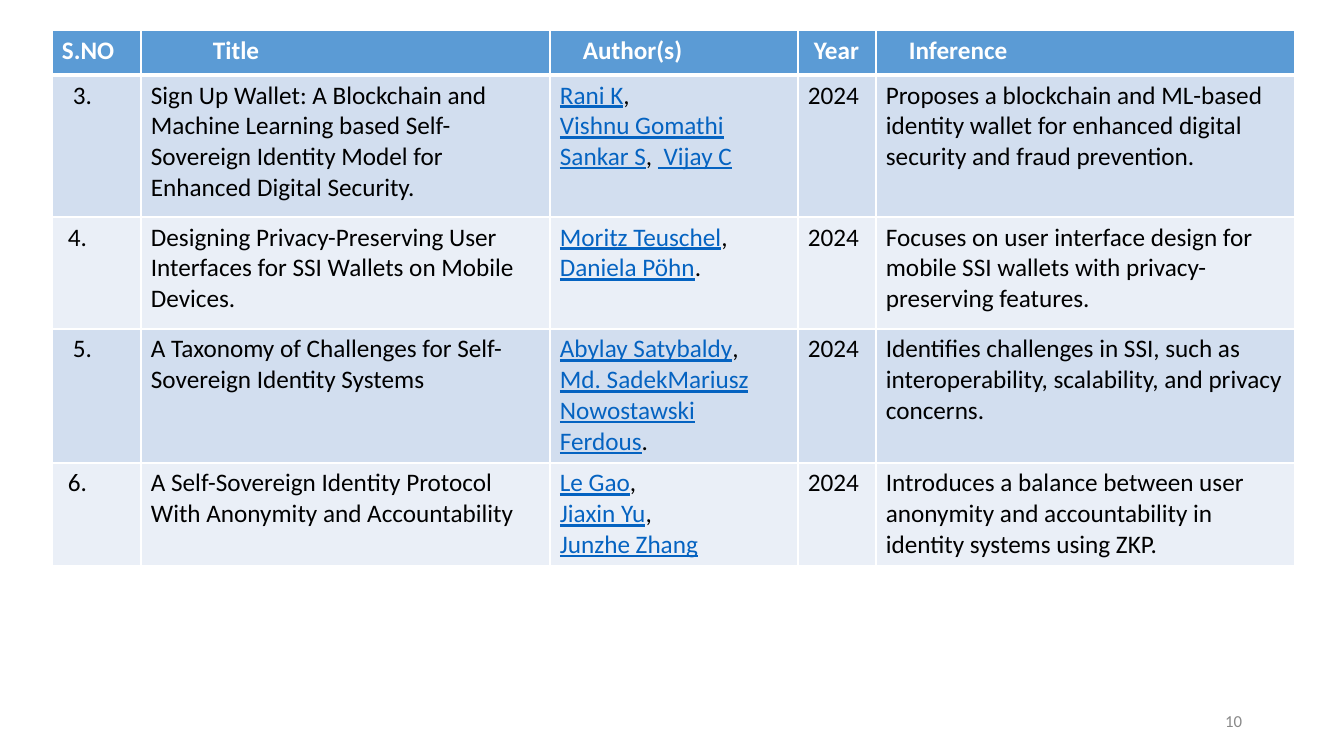
"""Build a literature survey slide: one table of papers and a page number."""
from lxml import etree
from pptx import Presentation
from pptx.dml.color import RGBColor
from pptx.enum.text import MSO_ANCHOR, PP_ALIGN
from pptx.oxml.ns import qn
from pptx.util import Pt

RIGHT = PP_ALIGN.RIGHT
MIDDLE = MSO_ANCHOR.MIDDLE
EMU_PER_PX = 914400 / 100.8
FONT = "Calibri"
BLANK_LAYOUT = 6

COLORS = {
    "header": "5B9BD5", "odd": "D2DEEF", "even": "EAEFF7", "rule": "FFFFFF",
    "heading": "FFFFFF", "text": "000000", "link": "0563C1", "number": "898989",
}

HEADINGS = ["S.NO", "Title", "Author(s)", "Year", "Inference"]
HEADING_INDENTS = [0, 62, 23, 6, 23]
NUMBER_INDENTS = {"odd": 11, "even": 6}
CELL_MARGIN = 10

# Each author line alternates linked names and plain punctuation.
PAPERS = [
    ("3.",
     "Sign Up Wallet: A Blockchain and Machine Learning based Self-Sovereign "
     "Identity Model for Enhanced Digital Security.",
     [["Rani K", ","], ["Vishnu Gomathi Sankar S", ", ", " Vijay C"]],
     "2024",
     "Proposes a blockchain and ML-based identity wallet for enhanced digital "
     "security and fraud prevention."),
    ("4.",
     "Designing Privacy-Preserving User Interfaces for SSI Wallets on Mobile Devices.",
     [["Moritz Teuschel", ","], ["Daniela Pöhn", "."]],
     "2024",
     "Focuses on user interface design for mobile SSI wallets with "
     "privacy-preserving features."),
    ("5.",
     "A Taxonomy of Challenges for Self-Sovereign Identity Systems",
     [["Abylay Satybaldy", ","], ["Md. SadekMariusz Nowostawski Ferdous", "."]],
     "2024",
     "Identifies challenges in SSI, such as interoperability, scalability, and "
     "privacy concerns."),
    ("6.",
     "A Self-Sovereign Identity Protocol With Anonymity and Accountability",
     [["Le Gao", ","], ["Jiaxin Yu", ","], ["Junzhe Zhang"]],
     "2024",
     "Introduces a balance between user anonymity and accountability in identity "
     "systems using ZKP."),
]

PAGE_SIZE = (1344, 756)
TABLE_CORNER = (52, 30)
COLUMN_WIDTHS = [89, 409, 248, 78, 419]
ROW_HEIGHTS = [45, 142, 112, 134, 103]
PAGE_NUMBER = "10"
PAGE_NUMBER_BOX = (950, 701, 302, 40)


def px(length):
    return round(length * EMU_PER_PX)


def style(span, size, color, bold=False, underline=False):
    span.font.name = FONT
    span.font.size = Pt(size)
    span.font.bold = bold
    span.font.underline = underline
    span.font.color.rgb = RGBColor.from_string(COLORS[color])


def set_borders(cell, top, bottom):
    properties = cell._tc.get_or_add_tcPr()
    for side, points in (("L", 1), ("R", 1), ("T", top), ("B", bottom)):
        line = etree.SubElement(properties, qn(f"a:ln{side}"), w=str(Pt(points)))
        fill = etree.SubElement(line, qn("a:solidFill"))
        etree.SubElement(fill, qn("a:srgbClr"), val=COLORS["rule"])


def format_cell(cell, fill, indent, top=1, bottom=1):
    set_borders(cell, top, bottom)
    cell.fill.solid()
    cell.fill.fore_color.rgb = RGBColor.from_string(COLORS[fill])
    cell.margin_left = px(CELL_MARGIN + indent)


def write_text(cell, text, color, bold=False):
    cell.text_frame.text = text
    style(cell.text_frame.paragraphs[0].runs[0], 18, color, bold)


def write_authors(cell, lines):
    frame = cell.text_frame
    for index, pieces in enumerate(lines):
        para = frame.add_paragraph() if index else frame.paragraphs[0]
        for position, piece in enumerate(pieces):
            linked = position % 2 == 0
            span = para.add_run()
            span.text = piece
            style(span, 18, "link" if linked else "text", underline=linked)


def add_papers(page):
    box = (*TABLE_CORNER, sum(COLUMN_WIDTHS), sum(ROW_HEIGHTS))
    table = page.shapes.add_table(
        len(ROW_HEIGHTS), len(COLUMN_WIDTHS), *map(px, box)).table
    for column, width in zip(table.columns, COLUMN_WIDTHS):
        column.width = px(width)
    for row, height in zip(table.rows, ROW_HEIGHTS):
        row.height = px(height)
    for column, heading in enumerate(HEADINGS):
        cell = table.cell(0, column)
        format_cell(cell, "header", HEADING_INDENTS[column], bottom=3)
        write_text(cell, heading, "heading", bold=True)
    for row, paper in enumerate(PAPERS, start=1):
        band = "odd" if row % 2 else "even"
        for column, content in enumerate(paper):
            cell = table.cell(row, column)
            indent = NUMBER_INDENTS[band] if column == 0 else 0
            format_cell(cell, band, indent, top=3 if row == 1 else 1)
            if isinstance(content, list):
                write_authors(cell, content)
            else:
                write_text(cell, content, "text")


def add_page_number(page):
    frame = page.shapes.add_textbox(*map(px, PAGE_NUMBER_BOX)).text_frame
    frame.word_wrap = True
    frame.vertical_anchor = MIDDLE
    frame.text = PAGE_NUMBER
    para = frame.paragraphs[0]
    para.alignment = RIGHT
    style(para.runs[0], 12, "number")


def main():
    deck = Presentation()
    deck.slide_width, deck.slide_height = map(px, PAGE_SIZE)
    page = deck.slides.add_slide(deck.slide_layouts[BLANK_LAYOUT])
    add_page_number(page)
    add_papers(page)
    deck.save("out.pptx")


if __name__ == "__main__":
    main()
